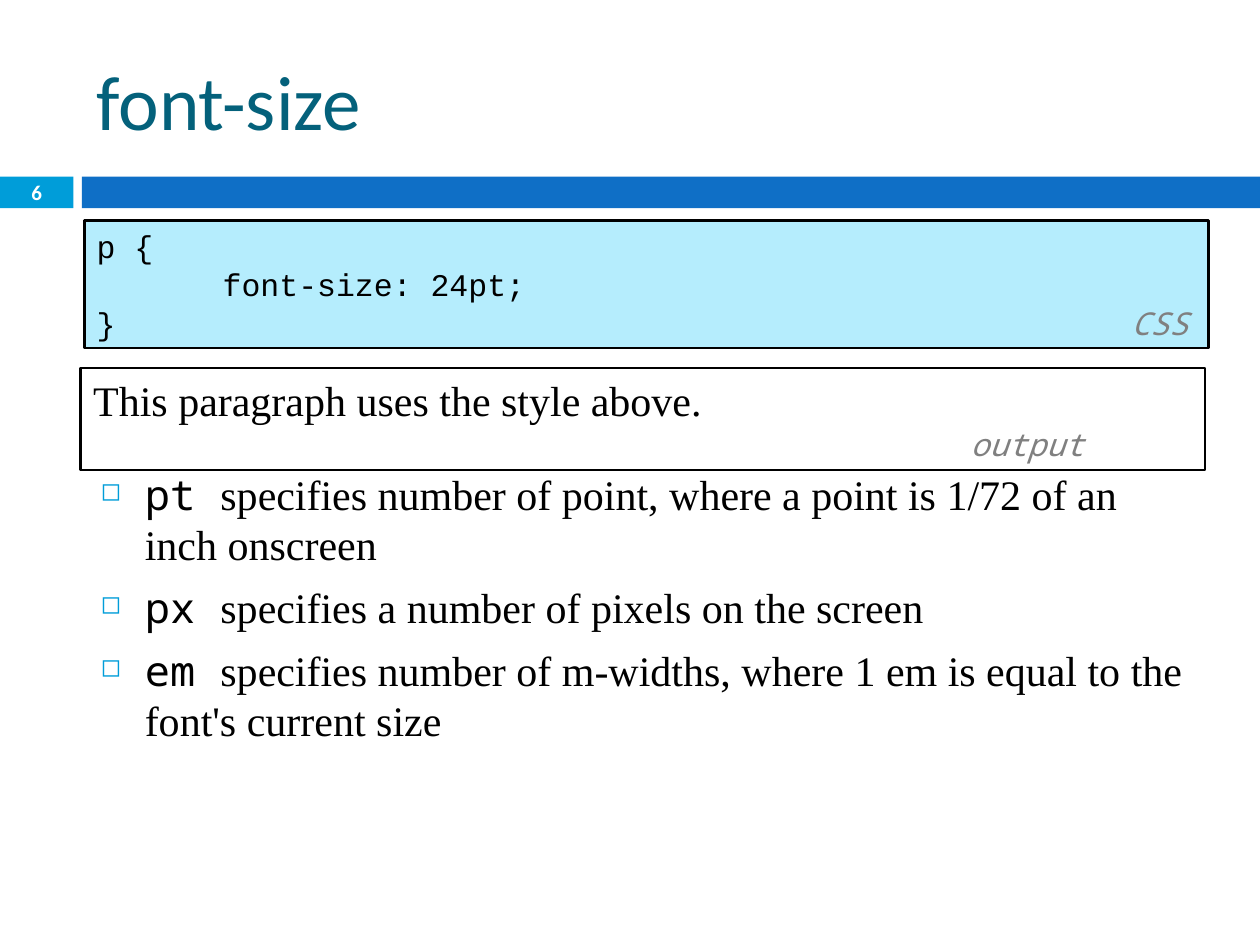
from lxml import etree
from pptx import Presentation
from pptx import util as u
from pptx.dml.color import RGBColor
from pptx.enum import shapes, text
from pptx.oxml import ns

theme = {
    "ink": "000000", "paper": "FFFFFF", "title": "04617B", "grey": "808080",
    "cyan": "009DD9", "blue": "0F6FC6", "pale": "B5EDFD",
    "head": 44, "body": 24, "code": 18, "num": 12,
    "sans": "Calibri", "serif": "Times New Roman",
    "mono": "Courier New", "term": "Noto Sans Mono",
}


def box(area, fill=None, line=None, anchor="TOP"):
    left, top, width, height = map(u.Cm, area)
    shape = slide.shapes.add_shape(
        shapes.MSO_SHAPE.RECTANGLE, left, top, width, height
    ) if fill else slide.shapes.add_textbox(left, top, width, height)
    if fill:
        shape.shadow.inherit = False
        shape.fill.solid()
        shape.fill.fore_color.rgb = RGBColor.from_string(theme[fill])
        shape.line.fill.background()
    if line:
        shape.line.color.rgb = RGBColor.from_string(theme[line])
        shape.line.width = u.Pt(1.5)
    shape.text_frame.word_wrap = True
    shape.text_frame.vertical_anchor = text.MSO_ANCHOR[anchor]
    return shape.text_frame


def write(frame, words, new=True, size="code", font="mono", color="ink",
          align="LEFT", bold=False, italic=False, tab=None, pitch=None):
    para = frame.paragraphs[-1]
    if new:
        if para.runs:
            para = frame.add_paragraph()
        para.alignment = text.PP_ALIGN[align]
        if pitch:
            para.line_spacing = u.Pt(pitch)
    if tab:
        stops = etree.SubElement(para._p.get_or_add_pPr(), ns.qn("a:tabLst"))
        etree.SubElement(stops, ns.qn("a:tab"), pos=str(u.Cm(tab[0])), algn=tab[1])
    run = para.add_run()
    run.text = words
    run.font.name = theme[font]
    run.font.size = u.Pt(theme[size])
    run.font.color.rgb = RGBColor.from_string(theme[color])
    run.font.bold, run.font.italic = bold, italic
    return para


deck = Presentation()
deck.slide_width, deck.slide_height = u.Cm(25.4), u.Cm(19.05)
slide = deck.slides.add_slide(deck.slide_layouts[6])

badge = box((0, 3.56, 1.48, 0.64), "cyan", anchor="MIDDLE")
badge.margin_top = badge.margin_bottom = 0
write(badge, "6", size="num", font="sans", color="paper", align="CENTER", bold=True)
box((1.65, 3.56, 23.75, 0.64), "blue")

title = box((1.7, 0.64, 22.66, 2.74), anchor="MIDDLE")
write(title, "font-size", size="head", font="sans", color="title")

code = box((1.7, 4.45, 22.66, 2.57), "pale", "ink")
write(code, "p {", pitch=21.8)
write(code, "\tfont-size: 24pt;", tab=(2.54, "l"), pitch=21.8)
write(code, "}\t", tab=(22, "r"), pitch=21.8)
write(code, "CSS", new=False, font="term", color="grey", italic=True)

result = box((1.63, 7.42, 22.66, 2.06), "paper", "ink")
write(result, "This paragraph uses the style above.", size="body", font="serif")
write(result, "\toutput", font="term", color="grey", italic=True, tab=(19.97, "r"))

units = [
    ("pt ", "specifies number of point, where a point is 1/72 of an inch onscreen"),
    ("px ", "specifies a number of pixels on the screen"),
    ("em ", "specifies number of m-widths, where 1 em is equal to the font's current size"),
]
notes = box((1.78, 9.32, 22.66, 4.24))
for term, sense in units:
    para = write(notes, term, size="body", font="term")
    write(notes, sense, new=False, size="body", font="serif")
    para.space_before = u.Pt(7)
    props = para._p.get_or_add_pPr()
    props.set("marL", str(u.Cm(0.89)))
    props.set("indent", str(u.Cm(-0.89)))
    tint = etree.SubElement(props, ns.qn("a:buClr"))
    etree.SubElement(tint, ns.qn("a:srgbClr"), val=theme["cyan"])
    etree.SubElement(props, ns.qn("a:buSzPct"), val="60000")
    etree.SubElement(props, ns.qn("a:buChar"), char="◻")

deck.save("out.pptx")
